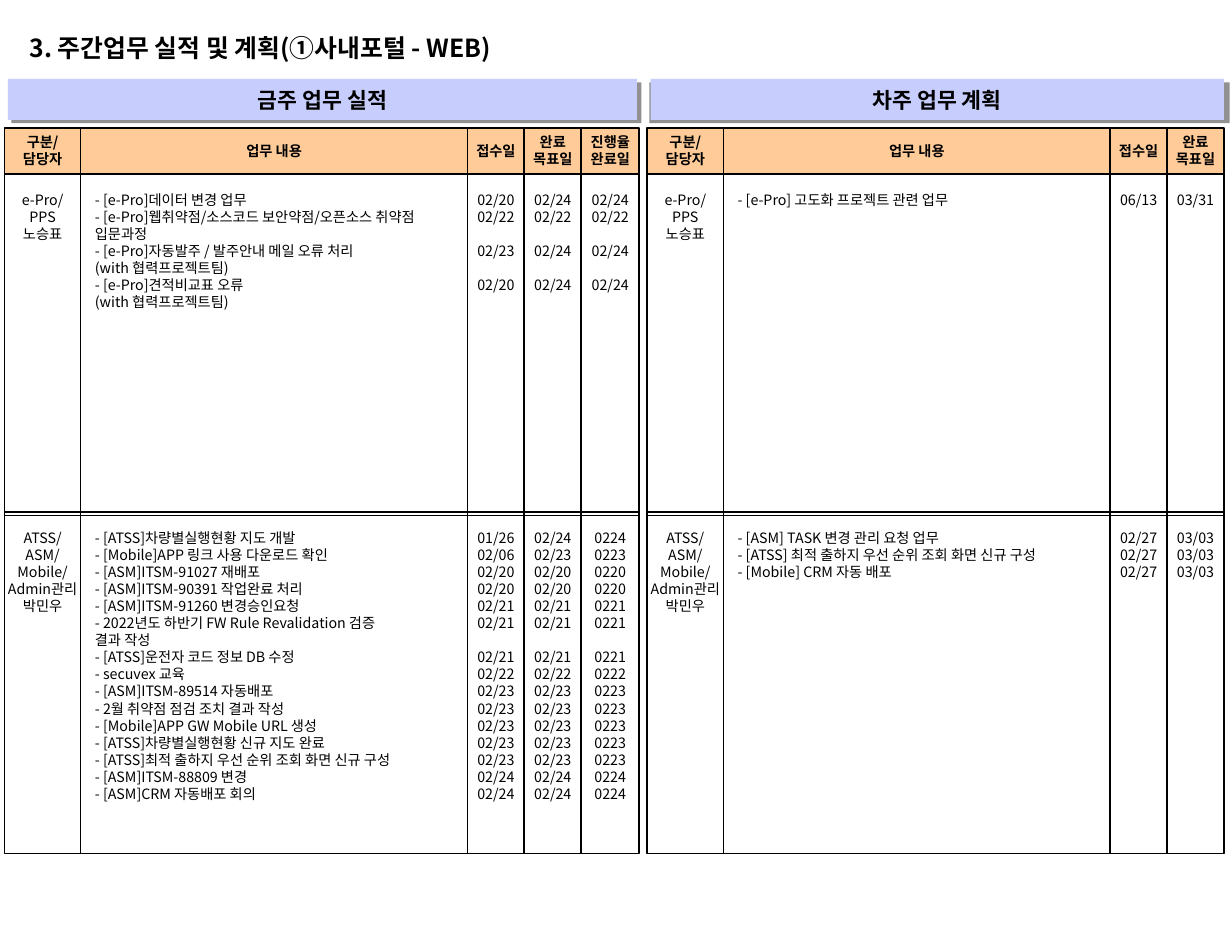
from dataclasses import dataclass

from lxml.etree import SubElement
from pptx import Presentation
from pptx.dml.color import RGBColor
from pptx.enum.shapes import MSO_SHAPE
from pptx.enum.text import MSO_ANCHOR, PP_ALIGN
from pptx.oxml.ns import qn
from pptx.util import Pt

FACE = "Noto Sans CJK KR"
HEX = {"ink": "000000", "bar": "C7CDFD", "shade": "919191", "head": "FFCC99"}
ZERO = {f"margin_{side}": 0 for side in ("left", "top", "right", "bottom")}
PITCH = 1.2  # line height per point of text size
SIZE = 9
BODY_H = 216
HEAD_TOP, HEAD_H = 80.9, 28.8
BODY_TOPS = (110.2, 324)
WIDTHS = (48.2, 244.8, 36, 36, 36.7)
HEADS = ("구분/\n담당자", "업무 내용", "접수일", "완료\n목표일", "진행율\n완료일")


@dataclass
class Box:
    left: float
    top: float
    width: float
    height: float


@dataclass
class Style:
    size: float = SIZE
    bold: bool = False
    align: PP_ALIGN = PP_ALIGN.CENTER
    anchor: MSO_ANCHOR = MSO_ANCHOR.TOP
    inset: float = 0


@dataclass
class Group:
    owner: str
    tasks: list[str]
    dates: list[str]  # one string per column, "-" skips a line


@dataclass
class Panel:
    title: str
    left: float
    bar: Box
    shade: Box
    groups: list[Group]


TITLE = Style(15.7, True, PP_ALIGN.LEFT)
BAR = Style(13.7, True, anchor=MSO_ANCHOR.MIDDLE)
HEAD = Style(bold=True, anchor=MSO_ANCHOR.MIDDLE)
DATE = Style(inset=10.8)
TASK = Style(align=PP_ALIGN.LEFT, inset=10.8)

OWNERS = ("e-Pro/\nPPS\n노승표", "ATSS/\nASM/\nMobile/\nAdmin관리\n박민우")

PANELS = [
    Panel("차주 업무 계획", 409.7, Box(411.8, 50, 362.9, 25.9),
          Box(411.1, 52.1, 367.2, 25.9), [
        Group(OWNERS[0], ["- [e-Pro] 고도화 프로젝트 관련 업무"], ["06/13", "03/31"]),
        Group(OWNERS[1], [
            "- [ASM] TASK 변경 관리 요청 업무",
            "- [ATSS] 최적 출하지 우선 순위 조회 화면 신규 구성",
            "- [Mobile] CRM 자동 배포",
        ], ["02/27 02/27 02/27", "03/03 03/03 03/03"]),
    ]),
    Panel("금주 업무 실적", 2.9, Box(5, 50, 398.2, 25.9),
          Box(7.2, 52.1, 398.9, 25.9), [
        Group(OWNERS[0], [
            "- [e-Pro]데이터 변경 업무",
            "- [e-Pro]웹취약점/소스코드 보안약점/오픈소스 취약점\v입문과정",
            "- [e-Pro]자동발주 / 발주안내 메일 오류 처리\v(with 협력프로젝트팀)",
            "- [e-Pro]견적비교표 오류\v(with 협력프로젝트팀)",
        ], [
            "02/20 02/22 - 02/23 - 02/20",
            "02/24 02/22 - 02/24 - 02/24",
            "02/24 02/22 - 02/24 - 02/24",
        ]),
        Group(OWNERS[1], [
            "- [ATSS]차량별실행현황 지도 개발",
            "- [Mobile]APP 링크 사용 다운로드 확인",
            "- [ASM]ITSM-91027 재배포",
            "- [ASM]ITSM-90391 작업완료 처리",
            "- [ASM]ITSM-91260 변경승인요청",
            "- 2022년도 하반기 FW Rule Revalidation 검증\v결과 작성",
            "- [ATSS]운전자 코드 정보 DB 수정",
            "- secuvex 교육",
            "- [ASM]ITSM-89514 자동배포",
            "- 2월 취약점 점검 조치 결과 작성",
            "- [Mobile]APP GW Mobile URL 생성",
            "- [ATSS]차량별실행현황 신규 지도 완료",
            "- [ATSS]최적 출하지 우선 순위 조회 화면 신규 구성",
            "- [ASM]ITSM-88809 변경",
            "- [ASM]CRM 자동배포 회의",
        ], [
            "01/26 02/06 02/20 02/20 02/21 02/21 - 02/21 02/22 "
            "02/23 02/23 02/23 02/23 02/23 02/24 02/24",
            "02/24 02/23 02/20 02/20 02/21 02/21 - 02/21 02/22 "
            "02/23 02/23 02/23 02/23 02/23 02/24 02/24",
            "0224 0223 0220 0220 0221 0221 - 0221 0222 "
            "0223 0223 0223 0223 0223 0224 0224",
        ]),
    ]),
]


def tint(name: str) -> RGBColor:
    return RGBColor.from_string(HEX[name])


def place(box: Box) -> list[Pt]:
    return [Pt(n) for n in (box.left, box.top, box.width, box.height)]


def write(shape, lines: list[str], style: Style) -> None:
    frame = shape.text_frame
    form = ZERO | {"word_wrap": True, "vertical_anchor": style.anchor,
                   "margin_top": Pt(style.inset)}
    for key, val in form.items():
        setattr(frame, key, val)
    pitch = style.size * PITCH
    para, gap = frame.paragraphs[0], 0
    for line in lines:
        if line == "-":
            gap += pitch
            continue
        if para.runs:
            para = frame.add_paragraph()
        para.text = line
        form = {"alignment": style.align, "line_spacing": Pt(pitch),
                "space_before": Pt(gap), "space_after": Pt(0)}
        for key, val in form.items():
            setattr(para, key, val)
        gap = 0
        for run in para.runs:
            form = {"name": FACE, "size": Pt(style.size), "bold": style.bold}
            for key, val in form.items():
                setattr(run.font, key, val)
            run.font.color.rgb = tint("ink")
            SubElement(run.font._element, qn("a:ea"), typeface=FACE)


def draw(slide, box: Box, fill: str = "", edge: bool = True):
    shape = slide.shapes.add_shape(MSO_SHAPE.RECTANGLE, *place(box))
    shape.shadow.inherit = False
    if fill:
        shape.fill.solid()
        shape.fill.fore_color.rgb = tint(fill)
    else:
        shape.fill.background()
    if edge:
        shape.line.color.rgb = tint("ink")
        shape.line.width = Pt(1)
    else:
        shape.line.fill.background()
    return shape


def label(slide, box: Box, lines: list[str], style: Style) -> None:
    write(slide.shapes.add_textbox(*place(box)), lines, style)


def fill_panel(slide, panel: Panel) -> None:
    # Title bar with its offset shade
    draw(slide, panel.shade, "shade", False)
    write(draw(slide, panel.bar, "bar", False), [panel.title], BAR)

    # Columns: head cell, then one cell per group
    left = panel.left
    count = 2 + len(panel.groups[0].dates)
    for col, (width, head) in enumerate(zip(WIDTHS[:count], HEADS)):
        cell = draw(slide, Box(left, HEAD_TOP, width, HEAD_H), "head")
        write(cell, head.split("\n"), HEAD)
        for top, group in zip(BODY_TOPS, panel.groups):
            cell = draw(slide, Box(left, top, width, BODY_H))
            if col == 0:
                write(cell, group.owner.split("\n"), DATE)
            elif col == 1:
                label(slide, Box(left + 9, top, 234.7, BODY_H), group.tasks, TASK)
            else:
                write(cell, group.dates[col - 2].split(), DATE)
        left += width


def main() -> None:
    deck = Presentation()
    deck.slide_width, deck.slide_height = Pt(779.8), Pt(594.7)
    slide = deck.slides.add_slide(deck.slide_layouts[6])
    for panel in PANELS:
        fill_panel(slide, panel)
    label(slide, Box(18.7, 20.9, 470.2, 30.2),
          ["3. 주간업무 실적 및 계획(①사내포털 - WEB)"], TITLE)
    deck.save("out.pptx")


if __name__ == "__main__":
    main()
